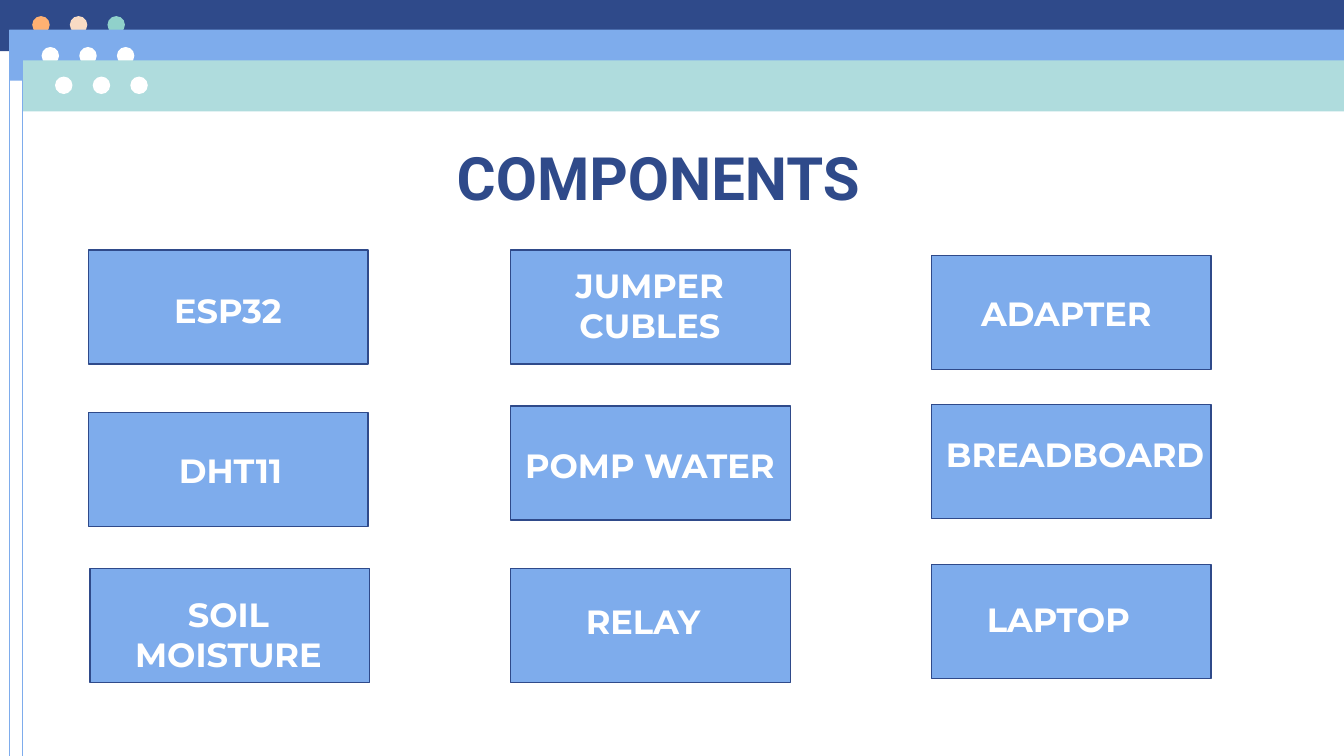
import pptx
import pptx.util
import pptx.dml.color
import pptx.enum.shapes
import pptx.enum.text
from lxml import etree

Inches = pptx.util.Inches
Pt = pptx.util.Pt
RGBColor = pptx.dml.color.RGBColor
SHAPE = pptx.enum.shapes.MSO_SHAPE
ALIGN = pptx.enum.text.PP_ALIGN
AUTO_SIZE = pptx.enum.text.MSO_AUTO_SIZE

NAVY = RGBColor(0x2F, 0x4A, 0x8A)
BLUE = RGBColor(0x7E, 0xAC, 0xEC)
MINT = RGBColor(0xAF, 0xDC, 0xDD)
ORANGE = RGBColor(0xFF, 0xB1, 0x72)
PEACH = RGBColor(0xF8, 0xDB, 0xC4)
TEAL = RGBColor(0x90, 0xD1, 0xCB)
WHITE = RGBColor(0xFF, 0xFF, 0xFF)

SLIDE_WIDTH = 10
SLIDE_HEIGHT = SLIDE_WIDTH * 9 / 16
BAR_HEIGHT = 0.38
DOT_SIZE, DOT_STEP = 0.13, 0.28
CARD_WIDTH, CARD_HEIGHT = 2.08, 0.85

WINDOWS = [
    dict(left=0, top=0, fill=NAVY, dot=(0.24, 0.12), dots=(ORANGE, PEACH, TEAL), side=False),
    dict(left=0.07, top=0.22, fill=BLUE, dot=(0.31, 0.35), dots=(WHITE,) * 3, side=True),
    dict(left=0.17, top=0.45, fill=MINT, dot=(0.41, 0.57), dots=(WHITE,) * 3, side=True),
]

CARDS = [
    dict(name="ESP32", at=(0.66, 1.86), label=(0.95, 2.06, 1.49, 0.47)),
    dict(name="DHT11", at=(0.66, 3.07), label=(0.97, 3.25, 1.49, 0.47)),
    dict(name="SOIL MOISTURE", at=(0.67, 4.23), label=(0.77, 4.32, 1.86, 0.65)),
    dict(name="RELAY", at=(3.8, 4.23), label=(3.95, 4.37, 1.67, 0.76)),
    dict(name="JUMPER CUBLES", at=(3.8, 1.86), label=(4.06, 1.92, 1.55, 0.71), grow=True),
    dict(name="POMP WATER", at=(3.8, 3.02), label=(2.16, 3.26, 5.35, 0.4), grow=True),
    dict(name="ADAPTER ", at=(6.93, 1.9), label=(5.47, 2.13, 5, 0.4), grow=True),
    dict(name="BREADBOARD", at=(6.93, 3.01), label=(5.38, 3.18, 5.24, 0.4), grow=True),
    dict(name="LAPTOP", at=(6.93, 4.2), label=(5.23, 4.41, 5.29, 0.4), grow=True),
]


def add_box(slide, kind, left, top, width, height, fill, line=None):
    shape = slide.shapes.add_shape(
        kind, Inches(left), Inches(top), Inches(width), Inches(height))
    shape.shadow.inherit = False
    shape.fill.solid()
    shape.fill.fore_color.rgb = fill
    if line is None:
        shape.line.fill.background()
    else:
        shape.line.color.rgb = line
        shape.line.width = Pt(0.75)


def add_side_line(slide, left, top):
    connector = slide.shapes.add_connector(
        pptx.enum.shapes.MSO_CONNECTOR.STRAIGHT,
        Inches(left), Inches(top), Inches(left), Inches(SLIDE_HEIGHT))
    connector.line.color.rgb = BLUE
    connector.line.width = Pt(0.75)
    etree.SubElement(connector._element.spPr, pptx.oxml.ns.qn("a:effectLst"))


def add_text(slide, text, box, *, font, size, color, align, grow=False, space_after=0):
    text_box = slide.shapes.add_textbox(*[Inches(value) for value in box])
    frame = text_box.text_frame
    frame.word_wrap = True
    frame.auto_size = AUTO_SIZE.SHAPE_TO_FIT_TEXT if grow else AUTO_SIZE.NONE
    frame.margin_left = frame.margin_right = Inches(0.1)
    frame.margin_top = frame.margin_bottom = Inches(0.05 if grow else 0.1)
    paragraph = frame.paragraphs[0]
    paragraph.alignment = align
    paragraph.space_after = Pt(space_after)
    run = paragraph.add_run()
    run.text = text
    run.font.name = font
    run.font.size = Pt(size)
    run.font.bold = True
    run.font.color.rgb = color


def add_window(slide, window):
    left, top = window["left"], window["top"]
    add_box(slide, SHAPE.RECTANGLE, left, top, SLIDE_WIDTH - left, BAR_HEIGHT, window["fill"])
    dot_left, dot_top = window["dot"]
    for index, color in enumerate(window["dots"]):
        add_box(slide, SHAPE.OVAL, dot_left + index * DOT_STEP, dot_top,
                DOT_SIZE, DOT_SIZE, color)
    if window["side"]:
        add_side_line(slide, left, top)


def main():
    presentation = pptx.Presentation()
    presentation.slide_width = Inches(SLIDE_WIDTH)
    presentation.slide_height = Inches(SLIDE_HEIGHT)
    slide = presentation.slides.add_slide(presentation.slide_layouts[6])

    for window in WINDOWS:
        add_window(slide, window)
    add_text(slide, "COMPONENTS", (3.3, 0.95, 8.43, 1.02), font="Roboto", size=32,
             color=NAVY, align=ALIGN.LEFT)
    for card in CARDS:
        add_box(slide, SHAPE.RECTANGLE, *card["at"], CARD_WIDTH, CARD_HEIGHT, BLUE, NAVY)
    for card in CARDS:
        add_text(slide, card["name"], card["label"], font="Montserrat", size=18, color=WHITE,
                 align=ALIGN.CENTER, grow=card.get("grow", False), space_after=16)

    presentation.save("out.pptx")


if __name__ == "__main__":
    main()
